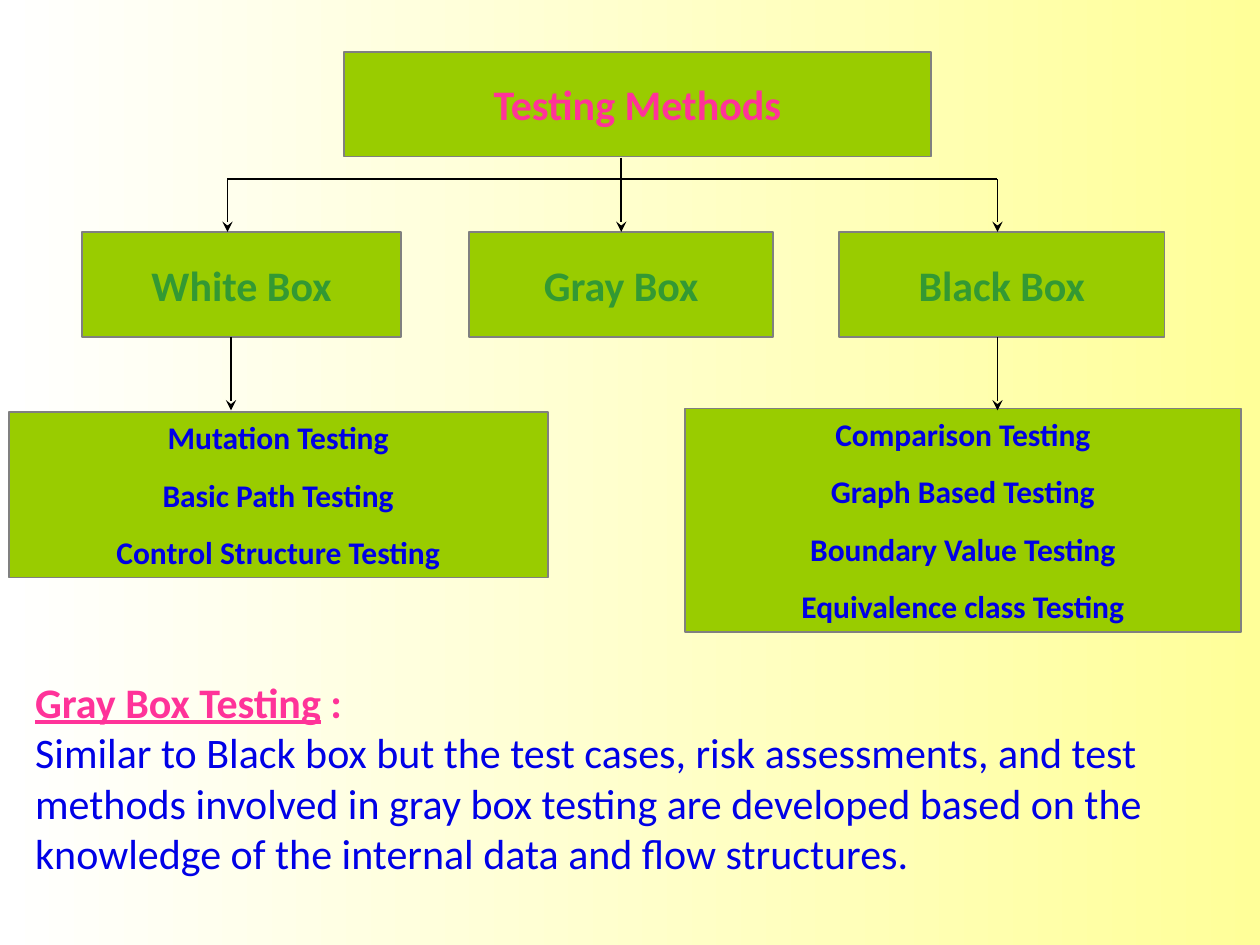
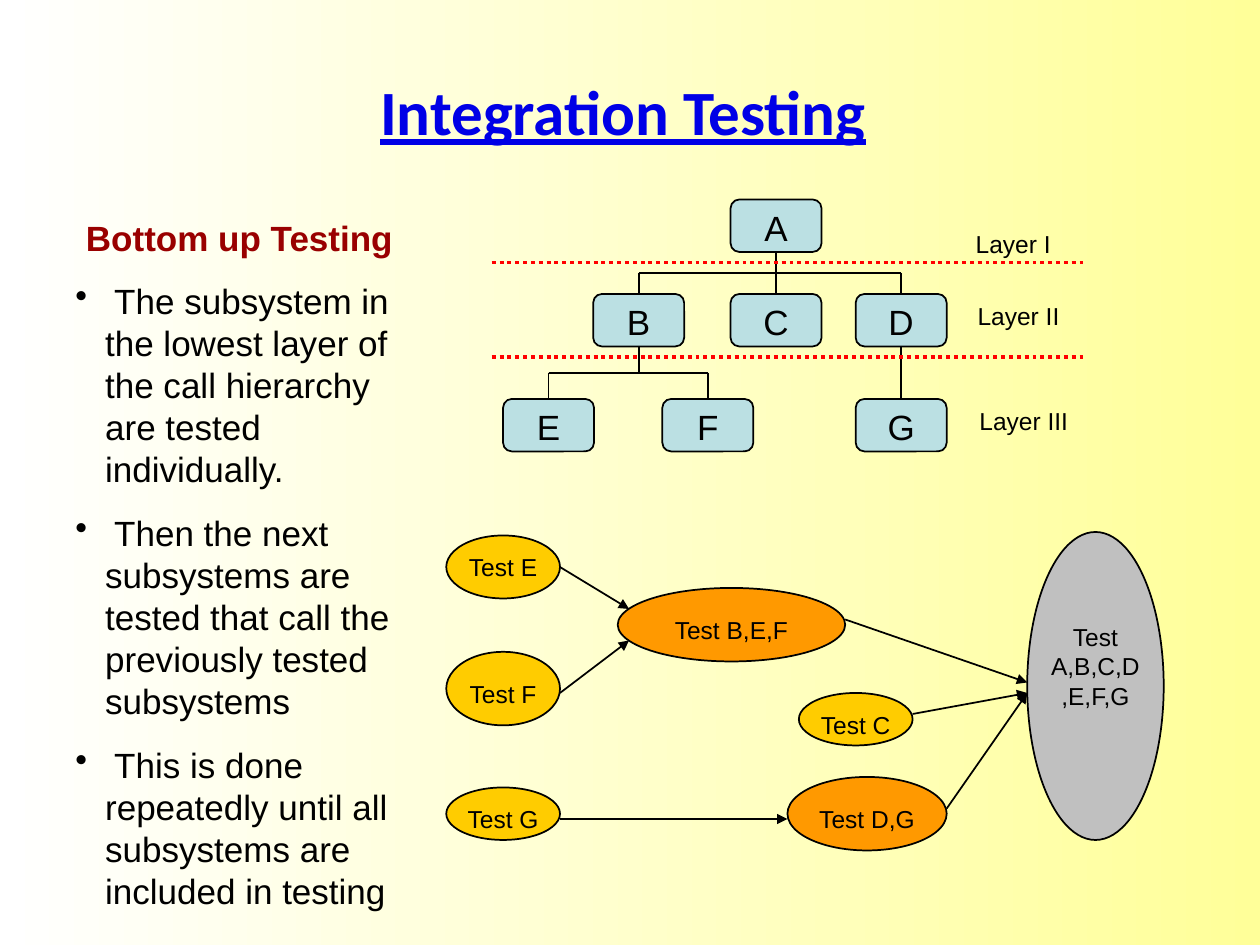
import pptx
import pptx.util
import pptx.dml.color
import pptx.enum.dml
import pptx.enum.shapes
import pptx.enum.text
import pptx.oxml.ns
import lxml.etree

Pt = pptx.util.Pt
Kind = pptx.enum.shapes.MSO_SHAPE
Align = pptx.enum.text.PP_ALIGN
Anchor = pptx.enum.text.MSO_ANCHOR
qn = pptx.oxml.ns.qn

HUES = {
    "sun": "FFFF99", "white": "FFFFFF", "lime": "99CC00", "edge": "808080",
    "pink": "FF3399", "green": "339933", "blue": "0000E6", "ink": "000000",
    "wine": "990000", "red": "FF0000", "ice": "BBE0E3", "gold": "FFCC00",
    "amber": "FF9900", "gray": "C0C0C0",
}


def hue(name):
    return pptx.dml.color.RGBColor.from_string(HUES[name])


def style(font, size, color, face="Arial", bold=False, under=False):
    font.size, font.name, font.bold, font.underline = Pt(size), face, bold, under
    font.color.rgb = hue(color)


def write(shape, lines, look, align=Align.CENTER, anchor=Anchor.MIDDLE,
          gap=0, pads=(7.2, 3.6, 7.2, 3.6), wrap=True, bullet=False):
    """Fill a shape with one paragraph per line; pads are left, top, right, bottom."""
    frame = shape.text_frame
    frame.word_wrap, frame.vertical_anchor = wrap, anchor
    (frame.margin_left, frame.margin_top,
     frame.margin_right, frame.margin_bottom) = map(Pt, pads)
    frame.text = "\n".join(lines)
    for i, para in enumerate(frame.paragraphs):
        para.alignment = align
        if i:
            para.space_before = Pt(gap)
        if bullet:
            props = para._p.get_or_add_pPr()
            props.set("marL", str(Pt(17)))
            props.set("indent", str(-Pt(17)))
            lxml.etree.SubElement(props, qn("a:buChar")).set("char", "•")
        for run in para.runs:
            style(run.font, **look)
    return frame


def label(slide, box, lines, look, **opts):
    return write(slide.shapes.add_textbox(*map(Pt, box)), lines, look, **opts)


def block(slide, kind, box, fill, edge="ink"):
    shape = slide.shapes.add_shape(kind, *map(Pt, box))
    shape.shadow.inherit = False
    shape.fill.solid()
    shape.fill.fore_color.rgb = hue(fill)
    shape.line.color.rgb = hue(edge)
    shape.line.width = Pt(1)
    return shape


def link(slide, start, end, head=None, color="ink", width=1):
    """Draw a straight line, with an arrowhead of type head at its end."""
    line = slide.shapes.add_connector(
        pptx.enum.shapes.MSO_CONNECTOR.STRAIGHT, *map(Pt, start + end))
    line.line.color.rgb = hue(color)
    line.line.width = Pt(width)
    if head:
        lxml.etree.SubElement(line.line._get_or_add_ln(),
                              qn("a:tailEnd")).set("type", head)
    lxml.etree.SubElement(line._element.spPr, qn("a:effectLst"))
    return line


def page(deck):
    slide = deck.slides.add_slide(deck.slide_layouts[6])
    fill = slide.background.fill
    fill.gradient()
    fill.gradient_angle = 180
    for stop, name in zip(fill.gradient_stops, ("sun", "white")):
        stop.color.rgb = hue(name)
    return slide


def methods(slide, x, y):
    """Tree of testing methods with its top left corner at x, y."""
    def panel(left, top, wide, high, lines, color, size=24, **opts):
        shape = block(slide, Kind.RECTANGLE, (x + left, y + top, wide, high),
                      "lime", "edge")
        look = dict(size=size, color=color, face="Calibri", bold=True)
        write(shape, lines, look, **opts)
        return shape

    def arrow(left, top, end):
        return link(slide, (x + left, y + top), (x + left, y + end), "stealth")

    panel(191.5, 0, 335.5, 60, ["Testing Methods"], "pink")
    panel(42, 103, 182, 60, ["White Box"], "green")
    gray = panel(263, 103, 174, 60, ["Gray Box"], "green")
    panel(474.5, 103, 186, 60, ["Black Box"], "green")

    tests = dict(color="blue", size=18, gap=11.2, anchor=Anchor.TOP)
    panel(0, 206, 308, 94.5, ["Mutation Testing", "Basic Path Testing",
                              "Control Structure Testing"], **tests)
    panel(386.5, 204, 317.5, 127.5,
          ["Comparison Testing", "Graph Based Testing",
           "Boundary Value Testing", "Equivalence class Testing"], **tests)

    bus, white, black = 73, 125, 565
    link(slide, (x + white, y + bus), (x + black, y + bus))
    arrow(350, 60.5, 103).end_connect(gray, 0)
    for left in (white, black):
        arrow(left, bus, 103)
    for left in (127, black):
        arrow(left, 163, 205)


def remark(slide, box):
    frame = label(
        slide, box,
        ["Gray Box Testing",
         "Similar to Black box but the test cases, risk assessments, and test "
         "methods involved in gray box testing are developed based on the "
         "knowledge of the internal data and flow structures."],
        dict(size=24, color="blue", face="Calibri"), align=Align.LEFT)
    head = frame.paragraphs[0]
    style(head.runs[0].font, 24, "pink", "Calibri", True, True)
    colon = head.add_run()
    colon.text = " :"
    style(colon.font, 24, "pink", "Calibri", True)


def points(slide, x, y):
    """Heading and bullets on bottom up testing."""
    label(slide, (x + 6, y, 214, 32), ["Bottom up Testing"],
          dict(size=20, color="wine", bold=True),
          align=Align.LEFT, anchor=Anchor.TOP)
    label(slide, (x, y + 36, 216, 320),
          [" The subsystem in the lowest layer of the call hierarchy are "
           "tested individually.",
           " Then the next subsystems are tested that call the previously "
           "tested subsystems",
           " This is done repeatedly until all subsystems are included in "
           "testing"],
          dict(size=20, color="ink"), align=Align.LEFT, anchor=Anchor.TOP,
          gap=12.5, bullet=True)


def layers(slide, x, y):
    """Call tree in three layers parted by dotted lines."""
    wide, high = 52, 30
    spots = {"A": (136.5, 0), "B": (58, 54), "C": (136.5, 54), "D": (208, 54),
             "E": (6.5, 114), "F": (97.5, 114), "G": (208, 114)}
    nodes = {}
    for name, (left, top) in spots.items():
        node = block(slide, Kind.ROUNDED_RECTANGLE,
                     (x + left, y + top, wide, high), "ice")
        write(node, [name], dict(size=20, color="ink"), pads=(0, 2, 0, 0))
        nodes[name] = node

    def mid(name):
        return x + spots[name][0] + wide / 2

    for boss, kids in {"A": "BCD", "B": "EF"}.items():
        foot, top = y + spots[boss][1] + high, y + spots[kids[0]][1]
        bus = (foot + top) / 2
        link(slide, (mid(boss), foot),
             (mid(boss), bus)).begin_connect(nodes[boss], 2)
        link(slide, (mid(kids[0]), bus), (mid(kids[-1]), bus))
        for kid in kids:
            link(slide, (mid(kid), bus),
                 (mid(kid), top)).end_connect(nodes[kid], 0)
    stem = link(slide, (mid("D"), y + 84), (mid("G"), y + 114))
    stem.begin_connect(nodes["D"], 2)
    stem.end_connect(nodes["G"], 0)

    for top in (36, 90):
        rule = link(slide, (x, y + top), (x + 338.5, y + top),
                    color="red", width=2.25)
        rule.line.dash_style = pptx.enum.dml.MSO_LINE.ROUND_DOT
    for i, (name, top) in enumerate((("I", 13), ("II", 54.5), ("III", 114.5))):
        label(slide, (x + 253 + 3 * i, y + top, 90, 24), [f"Layer {name}"],
              dict(size=14, color="ink"))


def flow(slide, x, y):
    """Order of the tests, from single parts to the whole."""
    wide = (0, 0, 0, 0)
    low = (0, 6, 0, 0)
    ovals = [
        ("Test E", (0, 2, 65, 36), "gold", wide),
        ("Test F", (0, 68.5, 65, 42), "gold", low),
        ("Test G", (0, 146, 65, 30), "gold", low),
        ("Test C", (201.5, 92, 65, 30), "gold", low),
        ("Test B,E,F", (98, 32, 130, 42), "amber", low),
        ("Test D,G", (195, 140, 91, 42), "amber", low),
        ("Test A,B,C,D,E,F,G", (332, 0, 78, 176), "gray", (2, 0, 2, 23)),
    ]
    for text, (left, top, width, high), fill, pads in ovals:
        oval = block(slide, Kind.OVAL, (x + left, y + top, width, high), fill)
        write(oval, [text], dict(size=14, color="ink"), pads=pads,
              wrap=fill == "gray")
    goal = (332, 92)
    for start, end in [((65, 20), (104.5, 44)), ((65, 92), (104.5, 62)),
                       ((65, 164), (195, 164)), ((228, 50), (332, 86)),
                       ((266.5, 104), goal), ((286, 158), goal)]:
        link(slide, (x + start[0], y + start[1]),
             (x + end[0], y + end[1]), "triangle")


def main():
    deck = pptx.Presentation()
    deck.slide_width, deck.slide_height = Pt(720), Pt(540)

    slide = page(deck)
    methods(slide, 5, 29.5)
    remark(slide, (13, 378, 707, 132))

    slide = page(deck)
    label(slide, (58, 30, 596, 66), ["Integration Testing"],
          dict(size=36, color="blue", face="Calibri", bold=True, under=True))
    points(slide, 36, 120)
    layers(slide, 281, 114)
    flow(slide, 255, 304)

    deck.save("out.pptx")


if __name__ == "__main__":
    main()
